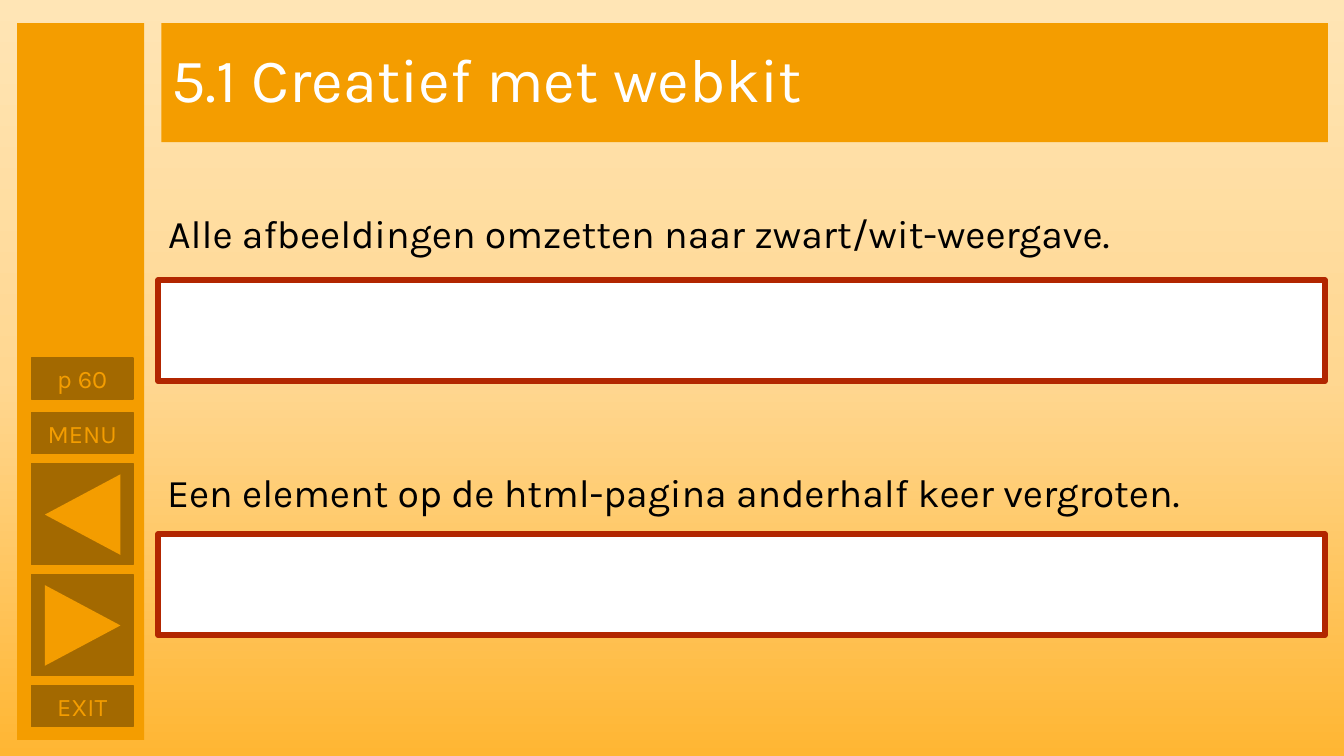
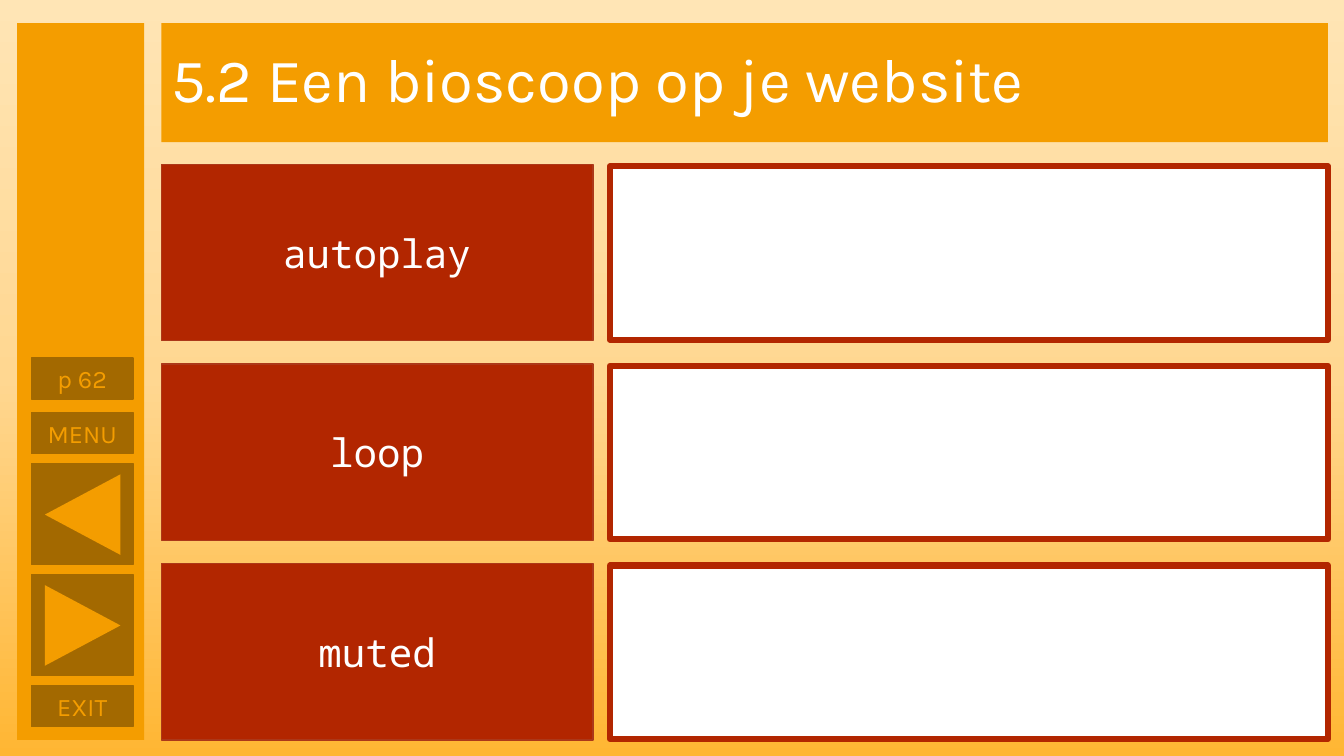
from copy import deepcopy

from pptx import Presentation
from pptx import util as u
from pptx.dml.color import RGBColor
from pptx.enum import shapes, text
from pptx.oxml.ns import qn

ORANGE, BROWN, RED, RED_EDGE = "F49D00", "A36900", "B22600", "AC3819"
WHITE, BLACK = "FFFFFF", "000000"
BACKDROP = [(0, "FFE5B5"), (0.5, "FFD791"), (1, "FFB633")]
BODY_FONT, CODE_FONT = "Karla", "Noto Sans Mono"
CENTER, LEFT = text.PP_ALIGN.CENTER, text.PP_ALIGN.LEFT
RECTANGLE = shapes.MSO_SHAPE.RECTANGLE
TRIANGLE = shapes.MSO_SHAPE.ISOSCELES_TRIANGLE


def rgb(hex_color):
    return RGBColor.from_string(hex_color)


class Deck:
    """Holds the presentation, its style and the slide being built."""

    def __init__(self):
        self.prs = Presentation()
        self.prs.slide_width = u.Inches(13.33)
        self.prs.slide_height = u.Inches(7.5)
        self.slide = None

    def new_slide(self, title, page):
        self.slide = self.prs.slides.add_slide(self.prs.slide_layouts[6])
        self.backdrop()
        heading = self.box(1.6, 0.23, 11.57, 1.18, ORANGE)
        self.add_text(heading, title, 44, WHITE, align=LEFT, spacing=0.9)
        self.navigation(page)

    def backdrop(self):
        fill = self.slide.background.fill
        fill.gradient()
        fill.gradient_angle = 270
        last_stop = list(self.slide.element.iter(qn("a:gs")))[-1]
        last_stop.addnext(deepcopy(last_stop))
        for stop, (position, color) in zip(fill.gradient_stops, BACKDROP):
            stop.position = position
            stop.color.rgb = rgb(color)

    def navigation(self, page):
        self.box(0.17, 0.23, 1.26, 7.11, ORANGE)
        for label, top in ((page, 3.55), ("MENU", 4.09), ("EXIT", 6.8)):
            button = self.box(0.31, top, 1.01, 0.41, BROWN, BROWN)
            self.add_text(button, label, 18, ORANGE)
        for top, rotation in ((4.6, 270), (5.7, 90)):
            self.box(0.31, top, 1.01, 1, BROWN, BROWN)
            arrow = self.box(0.42, top + 0.13, 0.8, 0.75, ORANGE, kind=TRIANGLE)
            arrow.rotation = rotation

    def box(self, left, top, width, height, fill, line=None, weight=1,
            kind=RECTANGLE):
        shape = self.slide.shapes.add_shape(
            kind, u.Inches(left), u.Inches(top), u.Inches(width), u.Inches(height))
        shape.shadow.inherit = False
        shape.fill.solid()
        shape.fill.fore_color.rgb = rgb(fill)
        if line:
            shape.line.color.rgb = rgb(line)
            shape.line.width = u.Pt(weight)
        else:
            shape.line.fill.background()
        return shape

    def answer(self, left, top, width, height):
        """White field with a thick red frame."""
        self.box(left, top, width, height, WHITE, RED, 4.5)

    def caption(self, words, left, top):
        area = self.slide.shapes.add_textbox(
            u.Inches(left), u.Inches(top), u.Inches(11.57), u.Inches(0.57))
        self.add_text(area, words, 28, BLACK, align=LEFT,
                      anchor=text.MSO_ANCHOR.TOP)

    def add_text(self, shape, words, size, color, font=BODY_FONT, align=CENTER,
                 anchor=text.MSO_ANCHOR.MIDDLE, spacing=None):
        frame = shape.text_frame
        frame.word_wrap = True
        frame.vertical_anchor = anchor
        paragraph = frame.paragraphs[0]
        paragraph.alignment = align
        paragraph.line_spacing = spacing
        run = paragraph.add_run()
        run.text = words
        run.font.size = u.Pt(size)
        run.font.name = font
        run.font.color.rgb = rgb(color)


def webkit_slide(deck):
    deck.new_slide("5.1 Creatief met webkit", "p 60")
    tasks = (
        ("Alle afbeeldingen omzetten naar zwart/wit-weergave.", 1.57, 2.03, 2.78),
        ("Een element op de html-pagina anderhalf keer vergroten.", 1.56, 4.6, 5.3),
    )
    for task, left, caption_top, answer_top in tasks:
        deck.caption(task, left, caption_top)
        deck.answer(1.57, answer_top, 11.57, 1)


def video_slide(deck):
    deck.new_slide("5.2 Een bioscoop op je website", "p 62")
    for row, attribute in enumerate(("autoplay", "loop", "muted")):
        top = 1.63 + row * 1.98
        term = deck.box(1.6, top, 4.28, 1.75, RED, RED_EDGE)
        deck.add_text(term, attribute, 28, WHITE, CODE_FONT)
        deck.answer(6.05, top + 0.02, 7.12, 1.72)


def main():
    deck = Deck()
    webkit_slide(deck)
    video_slide(deck)
    deck.prs.save("out.pptx")


if __name__ == "__main__":
    main()
